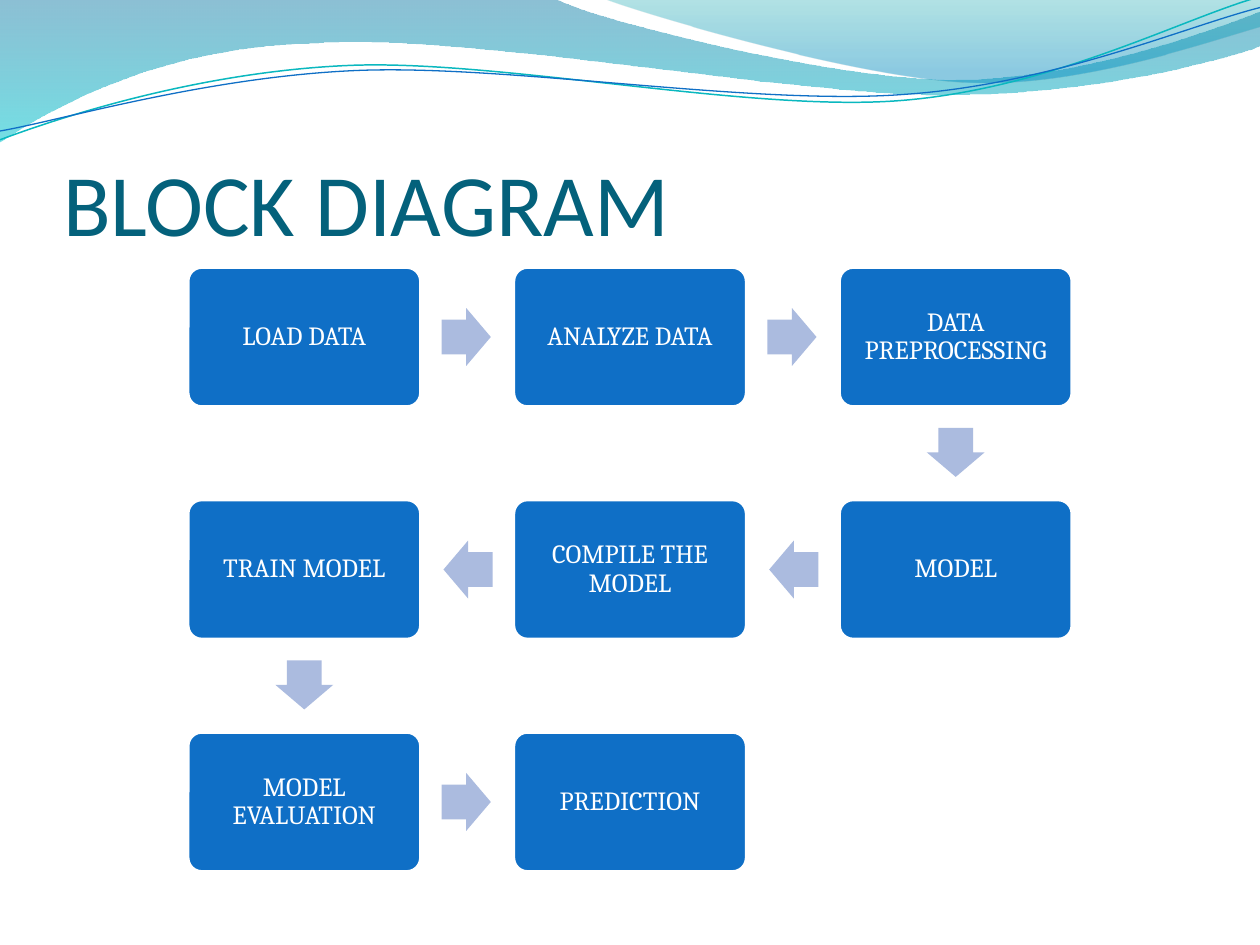
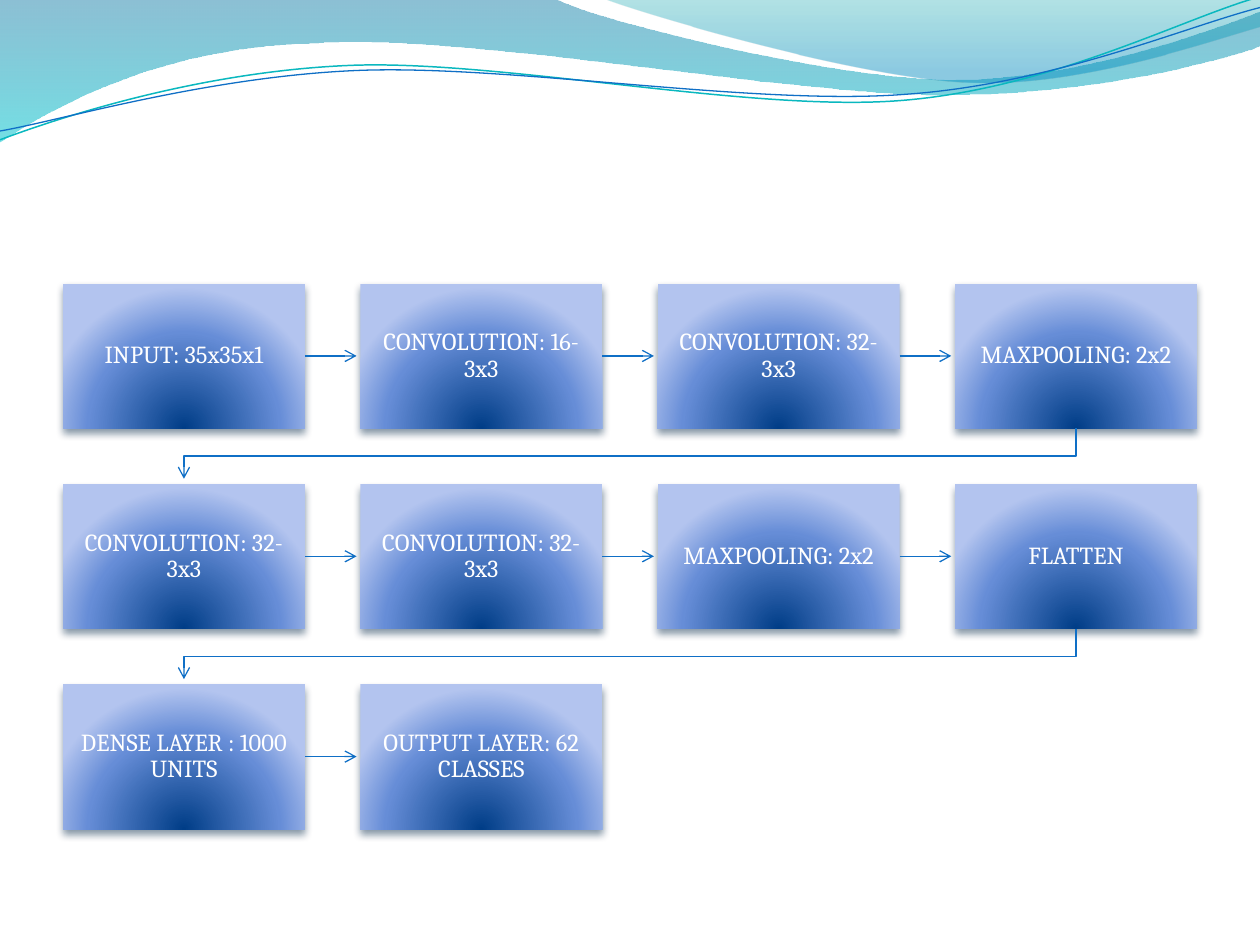
from lxml import etree
from pptx import Presentation, util as u
from pptx.dml.color import RGBColor
from pptx.enum import shapes, text
from pptx.oxml import parse_xml
from pptx.oxml.ns import nsdecls, qn

COLORS = {
    "title": "04617B", "white": "FFFFFF", "blue": "0F6FC6", "teal": "0AB8BF",
    "arrow": "ABBBDF", "shadow": "042747",
    "wave_top": "0074A1", "wave_bottom": "00C6CF",
    "crest_top": "00A1A9", "crest_bottom": "008BBF",
    "layer_core": "003D87", "layer_mid": "668DD7", "layer_edge": "B3C4EF",
}
RGB = {name: RGBColor.from_string(value) for name, value in COLORS.items()}
DOWNWARD = '<a:lin ang="5400000" scaled="0"/>'
FROM_BELOW = ('<a:path path="circle">'
              '<a:fillToRect l="50000" t="130000" r="50000" b="-30000"/></a:path>')


def write(shape, words, size, font="Cambria", color="white", inset=(0.06,) * 4,
          align=text.PP_ALIGN.CENTER, anchor=text.MSO_ANCHOR.MIDDLE, spacing=0.9):
    frame = shape.text_frame
    frame.word_wrap = True
    frame.auto_size = text.MSO_AUTO_SIZE.NONE
    frame.vertical_anchor = anchor
    (frame.margin_left, frame.margin_top,
     frame.margin_right, frame.margin_bottom) = [u.Inches(side) for side in inset]
    para = frame.paragraphs[0]
    para.alignment = align
    para.line_spacing = spacing
    span = para.add_run()
    span.text = words
    span.font.name = font
    span.font.size = u.Pt(size)
    span.font.color.rgb = RGB[color]


def fill_gradient(shape, stops, direction):
    """Each stop is position %, colour name, opacity %."""
    marks = "".join(
        f'<a:gs pos="{place * 1000}"><a:srgbClr val="{COLORS[color]}">'
        f'<a:alpha val="{opacity * 1000}"/></a:srgbClr></a:gs>'
        for place, color, opacity in stops)
    shape.fill.background()
    props = shape.element.spPr
    props.replace(props.find(qn("a:noFill")), parse_xml(
        f'<a:gradFill {nsdecls("a")} rotWithShape="1"><a:gsLst>{marks}</a:gsLst>'
        f'{direction}</a:gradFill>'))


deck = Presentation()
deck.slide_width, deck.slide_height = u.Inches(10), u.Inches(7.5)
block_page = deck.slides.add_slide(deck.slide_layouts[5])
layer_page = deck.slides.add_slide(deck.slide_layouts[6])

# Wave band shared by all pages: points of two are lines, points of six are curves
waves = [
    {"points": [(0, 0), (4.4, -0.01), (4.76, 0.17, 6.64, 0.63, 7.58, 0.63),
                (8.53, 0.63, 9.58, 0.26, 10, 0.09), (10.01, 0.36),
                (9.83, 0.44, 8.7, 0.76, 7.46, 0.75),
                (6.22, 0.75, 3.82, 0.28, 2.57, 0.34),
                (1.29, 0.36, 0.46, 0.83, -0.01, 1.13)],
     "stops": [(0, "wave_top", 45), (100, "wave_bottom", 55)]},
    {"points": [(4.79, -0.01), (5.09, 0.11, 6.82, 0.62, 7.69, 0.65),
                (8.56, 0.69, 9.61, 0.32, 10, 0.21), (10, 0)],
     "stops": [(0, "crest_top", 30), (80, "crest_bottom", 45)]},
    {"points": [(0, 1.11), (0.48, 0.93, 1.58, 0.57, 2.77, 0.52),
                (3.95, 0.47, 5.93, 0.89, 7.13, 0.8),
                (8.33, 0.71, 9.38, 0.15, 9.98, -0.02)],
     "line": ("teal", 0.85)},
    {"points": [(0, 1.04), (0.47, 0.96, 1.64, 0.61, 2.83, 0.56),
                (4.03, 0.51, 5.97, 0.84, 7.17, 0.75),
                (8.36, 0.67, 9.41, 0.21, 10, 0.06)],
     "line": ("blue", 0.75)},
]
master_tree = deck.slide_master.shapes.element
for order, wave in enumerate(waves):
    vertices = [(u.Inches(x), u.Inches(y)) for point in wave["points"]
                for x, y in zip(point[::2], point[1::2])]
    builder = block_page.shapes.build_freeform(*vertices[0])
    builder.add_line_segments(vertices[1:], close="stops" in wave)
    band = builder.convert_to_shape()

    # Merge each curve's three straight segments into one Bézier segment
    segments = iter(list(band.element.iter(qn("a:lnTo"))))
    for point in wave["points"][1:]:
        segment = next(segments)
        if len(point) == 6:
            segment.addprevious(etree.Element(qn("a:cubicBezTo")))
            curve = segment.getprevious()
            for part in (segment, next(segments), next(segments)):
                curve.append(part[0])
                part.getparent().remove(part)

    band.shadow.inherit = False
    if "stops" in wave:
        fill_gradient(band, wave["stops"], DOWNWARD)
        band.line.fill.background()
    else:
        color, width = wave["line"]
        band.fill.background()
        band.line.color.rgb = RGB[color]
        band.line.width = u.Pt(width)
    master_tree.insert(2 + order, band.element)

# Block diagram: title
title = block_page.shapes.title
title.left, title.top, title.width, title.height = map(u.Inches, (0.5, 0.77, 9, 1.25))
write(title, "BLOCK DIAGRAM", size=50, font="Calibri", color="title", spacing=1.0,
      inset=(0, 0.05, 0, 0), align=text.PP_ALIGN.LEFT, anchor=text.MSO_ANCHOR.BOTTOM)

# Block diagram: steps snake through three columns
steps = ["LOAD DATA", "ANALYZE DATA", "DATA PREPROCESSING", "MODEL", "COMPILE THE MODEL",
         "TRAIN MODEL", "MODEL EVALUATION", "PREDICTION"]
COLUMNS = 3
BOX_W, BOX_H = 1.85, 1.11
ARROW_W, ARROW_H, ARROW_REACH = 0.39, 0.46, 0.36
TURN = {(1, 0): 0, (0, 1): 90, (-1, 0): 180}
cells = []
for index in range(len(steps)):
    row, column = divmod(index, COLUMNS)
    cells.append((COLUMNS - 1 - column if row % 2 else column, row))
for index, (words, (column, row)) in enumerate(zip(steps, cells)):
    left, top = 1.49 + column * 5.17 / 2, 2.12 + row * 3.69 / 2
    box = block_page.shapes.add_shape(
        shapes.MSO_SHAPE.ROUNDED_RECTANGLE,
        u.Inches(left), u.Inches(top), u.Inches(BOX_W), u.Inches(BOX_H))
    box.adjustments[0] = 0.1
    box.shadow.inherit = False
    box.fill.solid()
    box.fill.fore_color.rgb = RGB["blue"]
    box.line.color.rgb = RGB["white"]
    box.line.width = u.Pt(2)
    write(box, words, size=15)
    if index + 1 == len(cells):
        continue
    across, down = cells[index + 1][0] - column, cells[index + 1][1] - row
    center_x = left + BOX_W / 2 + across * (BOX_W / 2 + ARROW_REACH)
    center_y = top + BOX_H / 2 + down * (BOX_H / 2 + ARROW_REACH)
    arrow = block_page.shapes.add_shape(
        shapes.MSO_SHAPE.RIGHT_ARROW,
        u.Inches(center_x - ARROW_W / 2), u.Inches(center_y - ARROW_H / 2),
        u.Inches(ARROW_W), u.Inches(ARROW_H))
    arrow.adjustments[0], arrow.adjustments[1] = 0.6, 0.5
    arrow.rotation = TURN[across, down]
    arrow.shadow.inherit = False
    arrow.fill.solid()
    arrow.fill.fore_color.rgb = RGB["arrow"]
    arrow.line.fill.background()

# Network layers: boxes in rows of four
layers = ["INPUT: 35x35x1", "CONVOLUTION: 16-3x3", "CONVOLUTION: 32-3x3", "MAXPOOLING: 2x2",
          "CONVOLUTION: 32-3x3", "CONVOLUTION: 32-3x3", "MAXPOOLING: 2x2", "FLATTEN",
          "DENSE LAYER : 1000 UNITS", "OUTPUT LAYER: 62 CLASSES"]
PER_ROW = 4
LAYER_W, LAYER_H = 1.92, 1.15
LINK_LENGTH, LINK_DROP, LINK_TURN = 0.41, 0.4, 0.22
for index, words in enumerate(layers):
    row, column = divmod(index, PER_ROW)
    left, top = 0.5 + column * 2.36, 2.25 + row * 1.59
    box = layer_page.shapes.add_shape(
        shapes.MSO_SHAPE.RECTANGLE,
        u.Inches(left), u.Inches(top), u.Inches(LAYER_W), u.Inches(LAYER_H))
    fill_gradient(box, [(0, "layer_core", 100), (68, "layer_mid", 100),
                        (100, "layer_edge", 100)], FROM_BELOW)
    box.line.fill.background()
    box.shadow.inherit = False
    box.element.spPr.find(qn("a:effectLst")).append(parse_xml(
        f'<a:outerShdw {nsdecls("a")} blurRad="{u.Pt(4.5)}" dist="{u.Pt(3)}" dir="5400000" '
        f'rotWithShape="0"><a:srgbClr val="{COLORS["shadow"]}"><a:alpha val="48000"/>'
        '</a:srgbClr></a:outerShdw>'))
    write(box, words, size=14, inset=(0.11,) * 4)
    if index + 1 == len(layers):
        continue

    # Link to the next layer: straight inside a row, bent to the row below
    if column < PER_ROW - 1:
        start, middle = left + LAYER_W, top + LAYER_H / 2
        link = layer_page.shapes.add_connector(
            shapes.MSO_CONNECTOR.STRAIGHT, u.Inches(start), u.Inches(middle),
            u.Inches(start + LINK_LENGTH), u.Inches(middle))
        link.begin_connect(box, 3)
        etree.SubElement(link.element.spPr, qn("a:effectLst"))
    else:
        start, bottom, finish = left + LAYER_W / 2, top + LAYER_H, 0.5 + LAYER_W / 2
        builder = layer_page.shapes.build_freeform(u.Inches(start), u.Inches(bottom))
        builder.add_line_segments(
            [(u.Inches(x), u.Inches(bottom + drop)) for x, drop in
             ((start, LINK_TURN), (finish, LINK_TURN), (finish, LINK_DROP))], close=False)
        link = builder.convert_to_shape()
        link.fill.background()
        link.shadow.inherit = False
    link.line.color.rgb = RGB["blue"]
    link.line.width = u.Pt(0.75)
    etree.SubElement(link.get_or_add_ln(), qn("a:tailEnd"), type="arrow")

deck.save("out.pptx")
